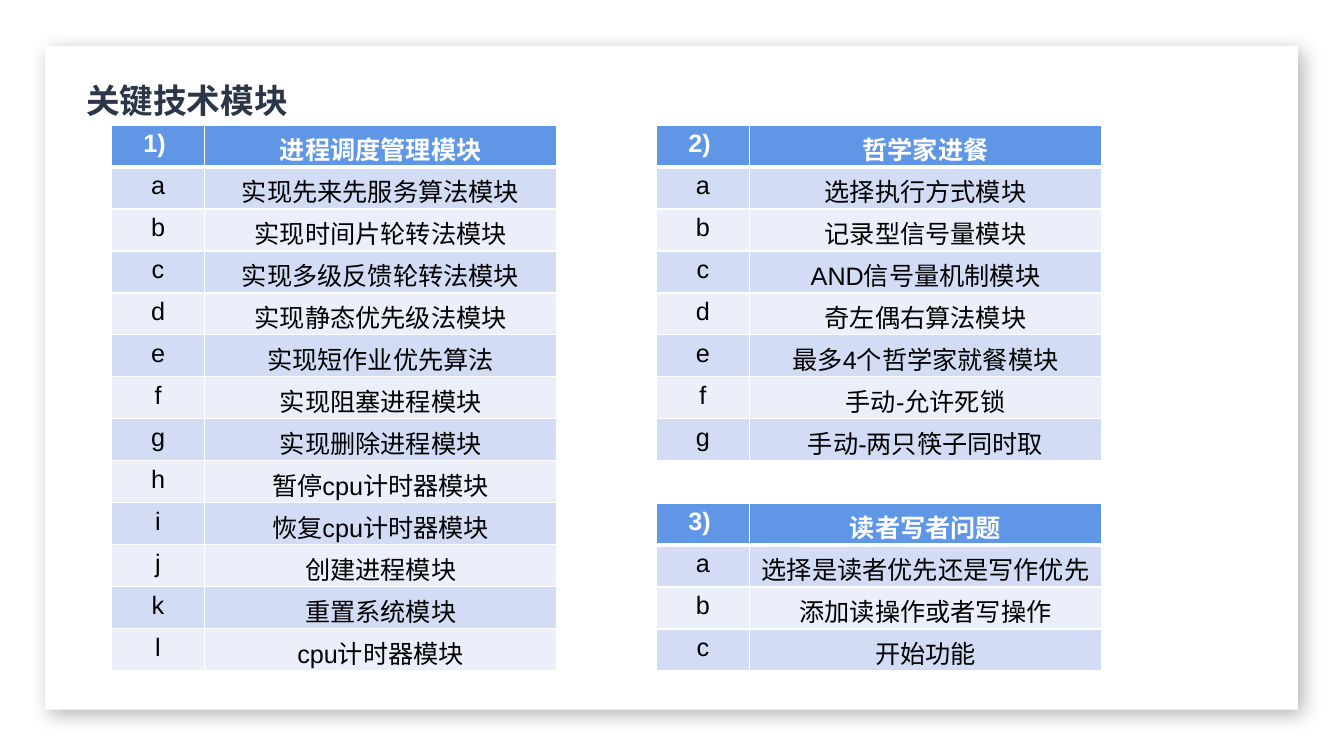
from lxml import etree
from pptx import Presentation
from pptx.dml.color import RGBColor
from pptx.enum.shapes import MSO_SHAPE
from pptx.enum.text import MSO_AUTO_SIZE, PP_ALIGN
from pptx.oxml.ns import qn
from pptx.util import Emu, Pt

RECT = MSO_SHAPE.RECTANGLE
GROW = MSO_AUTO_SIZE.SHAPE_TO_FIT_TEXT
CENTER = PP_ALIGN.CENTER

ROW = 40
TOP = 119
COLS = (89, 335)

PROCESS = (
    "进程调度管理模块",
    "实现先来先服务算法模块",
    "实现时间片轮转法模块",
    "实现多级反馈轮转法模块",
    "实现静态优先级法模块",
    "实现短作业优先算法",
    "实现阻塞进程模块",
    "实现删除进程模块",
    "暂停cpu计时器模块",
    "恢复cpu计时器模块",
    "创建进程模块",
    "重置系统模块",
    "cpu计时器模块",
)
DINING = (
    "哲学家进餐",
    "选择执行方式模块",
    "记录型信号量模块",
    "AND信号量机制模块",
    "奇左偶右算法模块",
    "最多4个哲学家就餐模块",
    "手动-允许死锁",
    "手动-两只筷子同时取",
)
READERS = (
    "读者写者问题",
    "选择是读者优先还是写作优先",
    "添加读操作或者写操作",
    "开始功能",
)


def px(count):
    return Emu(count * 9525)


def color(code):
    return RGBColor.from_string(code)


class Deck:
    white = "FFFFFF"
    black = "000000"
    ink = "2B3649"
    head = "6096E6"
    bands = ("EAEFFA", "D2DDF5")
    latin = "Arial"
    asian = "Noto Sans CJK SC"

    def __init__(self, width, height):
        self.show = Presentation()
        self.show.slide_width = px(width)
        self.show.slide_height = px(height)
        self.slide = self.show.slides.add_slide(self.show.slide_layouts[6])

    def style(self, para, name, size, tone, bold):
        for run in para.runs:
            font = run.font
            font.name, font.size, font.bold = name, Pt(size), bold
            font.color.rgb = color(tone)
            etree.SubElement(run._r.rPr, qn("a:ea"), typeface=self.asian)

    def card(self, *box):
        shape = self.slide.shapes.add_shape(RECT, *map(px, box))
        shape.fill.solid()
        shape.fill.fore_color.rgb = color(self.white)
        shape.line.fill.background()
        shape.shadow.inherit = False
        effect = shape._element.spPr.find(qn("a:effectLst"))
        shade = etree.SubElement(
            effect, qn("a:outerShdw"), blurRad=str(Pt(15)), dist=str(Pt(5)),
            dir="2700000", algn="ctr", rotWithShape="0")
        tint = etree.SubElement(shade, qn("a:srgbClr"), val=self.black)
        etree.SubElement(tint, qn("a:alpha"), val="30000")

    def title(self, text, *box):
        frame = self.slide.shapes.add_textbox(*map(px, box)).text_frame
        frame.margin_left = frame.margin_right = frame.margin_top = 0
        frame.word_wrap = False
        frame.auto_size = GROW
        frame.text = text
        para = frame.paragraphs[0]
        para.line_spacing = Pt(27)
        self.style(para, self.asian, 24, self.ink, True)

    def edge(self, cell, first):
        """Draw white cell borders, with a thick rule below the header."""
        props = cell._tc.get_or_add_tcPr()
        for spot, side in enumerate("LRTB"):
            thick = (first and side == "B")
            line = etree.Element(qn("a:ln" + side), w=str(Pt(3 if thick else 1)))
            fill = etree.SubElement(line, qn("a:solidFill"))
            etree.SubElement(fill, qn("a:srgbClr"), val=self.white)
            props.insert(spot, line)

    def cell(self, cell, text, row):
        first = row == 0
        cell.text = text
        para = cell.text_frame.paragraphs[0]
        para.alignment = CENTER
        self.style(para, self.latin, 18, self.white if first else self.black, first)
        cell.fill.solid()
        cell.fill.fore_color.rgb = color(self.head if first else self.bands[row % 2])
        self.edge(cell, first)

    def table(self, number, items, left, top):
        """Number the header and letter the rows below it."""
        count = len(items)
        box = (left, top, sum(COLS), ROW * count)
        grid = self.slide.shapes.add_table(count, 2, *map(px, box)).table
        for col, width in zip(grid.columns, COLS):
            col.width = px(width)
        for row, text in enumerate(items):
            grid.rows[row].height = px(ROW)
            label = chr(ord("a") + row - 1) if row else f"{number}) "
            self.cell(grid.cell(row, 0), label, row)
            self.cell(grid.cell(row, 1), text, row)


def main():
    deck = Deck(1280, 720)
    deck.card(43, 44, 1193, 632)
    deck.title("关键技术模块", 82, 78, 192, 41)
    deck.table(1, PROCESS, 106, TOP)
    deck.table(2, DINING, 625, TOP)
    deck.table(3, READERS, 625, TOP + ROW * (len(DINING) + 1))
    deck.show.save("out.pptx")


if __name__ == "__main__":
    main()
